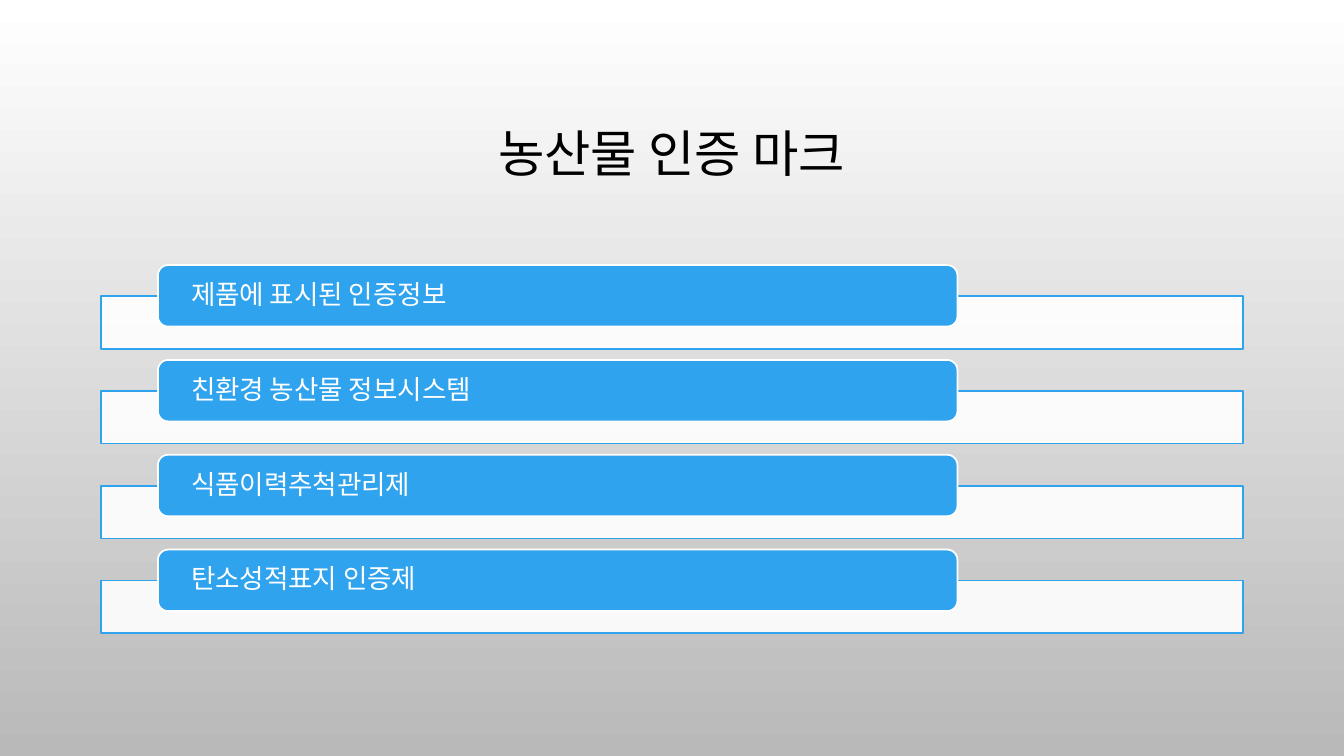
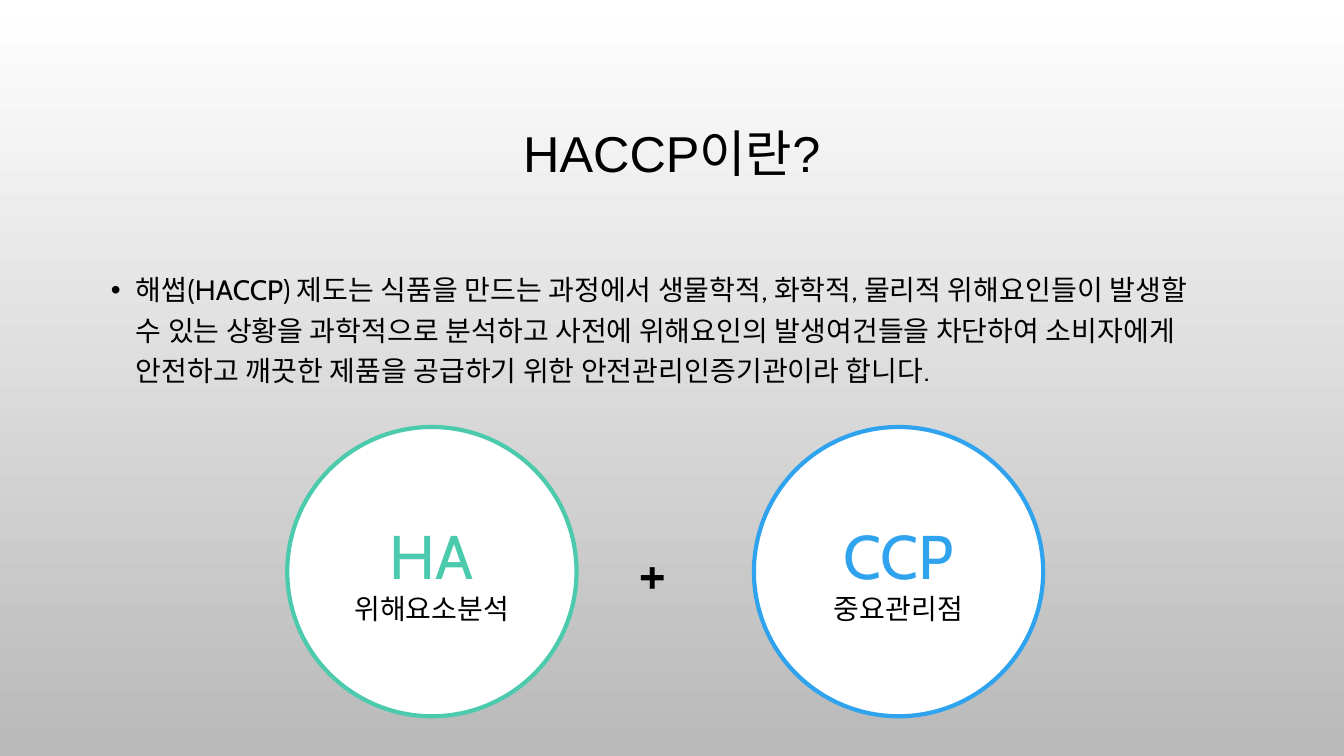
from lxml import etree
from pptx import Presentation
from pptx.dml.color import RGBColor
from pptx.enum.shapes import MSO_SHAPE
from pptx.enum.text import MSO_ANCHOR, MSO_AUTO_SIZE, PP_ALIGN
from pptx.oxml.ns import qn
from pptx.util import Cm, Pt

RECT, ROUND, OVAL = MSO_SHAPE.RECTANGLE, MSO_SHAPE.ROUNDED_RECTANGLE, MSO_SHAPE.OVAL
LEFT, CENTER = PP_ALIGN.LEFT, PP_ALIGN.CENTER
TOP, MIDDLE = MSO_ANCHOR.TOP, MSO_ANCHOR.MIDDLE
NO_FIT = MSO_AUTO_SIZE.NONE

COLORS = {"white": "FFFFFF", "gray": "B9B9B9", "blue": "2FA3EE",
          "green": "4BCAAD", "black": "000000"}
FONT = "Cabin"
MARGIN, CONTENT_WIDTH = 2.54, 28.78

MARKS_TITLE = "농산물 인증 마크"
MARKS = ["제품에 표시된 인증정보", "친환경 농산물 정보시스템",
         "식품이력추척관리제", "탄소성적표지 인증제"]
HACCP_TITLE = "HACCP이란?"
HACCP_TEXT = ("해썹(HACCP) 제도는 식품을 만드는 과정에서 생물학적, 화학적, 물리적 "
              "위해요인들이 발생할 수 있는 상황을 과학적으로 분석하고 사전에 "
              "위해요인의 발생여건들을 차단하여 소비자에게 안전하고 깨끗한 제품을 "
              "공급하기 위한 안전관리인증기관이라 합니다.")
CIRCLES = [("HA", "위해요소분석", "green"), ("CCP", "중요관리점", "blue")]


def rgb(name):
    return RGBColor.from_string(COLORS[name])


def place(shape, left, top, width, height):
    shape.left, shape.top = Cm(left), Cm(top)
    shape.width, shape.height = Cm(width), Cm(height)


def style(para, size, color="black", align=LEFT, spacing=1.0, font=FONT):
    para.alignment = align
    para.line_spacing = spacing
    para.space_before = para.space_after = Pt(0)
    para.font.name = font
    para.font.size = Pt(size)
    para.font.color.rgb = rgb(color)
    props = para._p.pPr.find(qn("a:defRPr"))
    etree.SubElement(props, qn("a:ea")).set("typeface", font)


def set_background(master):
    fill = master.background.fill
    fill.gradient()
    fill.gradient_angle = 270
    for stop, position, color in zip(fill.gradient_stops, (0, 1), ("white", "gray")):
        stop.position = position
        stop.color.rgb = rgb(color)


def add_page(deck, layout, title, font=FONT):
    page = deck.slides.add_slide(deck.slide_layouts[layout])
    box = page.shapes.title
    place(box, MARGIN, 1.7, CONTENT_WIDTH, 4.45)
    frame = box.text_frame
    frame.text = title
    frame.auto_size = NO_FIT
    frame.vertical_anchor = MIDDLE
    style(frame.paragraphs[0], 36, align=CENTER, spacing=0.9, font=font)
    return page


def add_shape(page, kind, bounds, fill, line, weight):
    shape = page.shapes.add_shape(kind, *map(Cm, bounds))
    shape.shadow.inherit = False
    shape.fill.solid()
    shape.fill.fore_color.rgb = rgb(fill)
    shape.line.color.rgb = rgb(line)
    shape.line.width = Pt(weight)
    shape.text_frame.vertical_anchor = MIDDLE
    return shape


def set_opacity(shape, percent):
    color = shape.fill._xPr.find(qn("a:solidFill"))[0]
    etree.SubElement(color, qn("a:alpha")).set("val", str(percent * 1000))


def set_bullet(para, indent):
    props = para._p.get_or_add_pPr()
    props.set("marL", str(Cm(indent)))
    props.set("indent", str(-Cm(indent)))
    color = etree.SubElement(props, qn("a:buClr"))
    etree.SubElement(color, qn("a:srgbClr")).set("val", COLORS["black"])
    etree.SubElement(props, qn("a:buFont")).set("typeface", "Arial")
    etree.SubElement(props, qn("a:buChar")).set("char", "•")


def build_marks(deck):
    page = add_page(deck, 5, MARKS_TITLE)
    first, pitch = 6.68, 2.39
    for index, text in enumerate(MARKS):
        top = first + index * pitch
        strip = add_shape(page, RECT, (MARGIN, top + 0.78, CONTENT_WIDTH, 1.33),
                          "white", "blue", 1.25)
        set_opacity(strip, 90)
        label = add_shape(page, ROUND, (3.98, top, 20.15, 1.55), "blue", "white", 1.25)
        frame = label.text_frame
        frame.margin_left = frame.margin_right = Cm(0.76)
        frame.margin_top = frame.margin_bottom = 0
        frame.text = text
        style(frame.paragraphs[0], 19, "white", spacing=0.9)


def build_haccp(deck):
    page = add_page(deck, 1, HACCP_TITLE, "Arial")
    body = page.placeholders[1]
    place(body, MARGIN, 6.58, CONTENT_WIDTH, 9.5)
    frame = body.text_frame
    frame.text = HACCP_TEXT
    frame.auto_size = NO_FIT
    frame.vertical_anchor = TOP
    frame.margin_right = Cm(0.6)
    set_bullet(frame.paragraphs[0], 0.63)
    style(frame.paragraphs[0], 20, spacing=1.2)

    left, pitch, size = 7.24, 11.76, 7.29
    for index, (letters, meaning, color) in enumerate(CIRCLES):
        circle = add_shape(page, OVAL, (left + index * pitch, 10.76, size, size),
                           "white", color, 3)
        frame = circle.text_frame
        frame.text = f"{letters}\n{meaning}"
        style(frame.paragraphs[0], 44, color, CENTER)
        style(frame.paragraphs[1], 20, align=CENTER)

    plus = page.shapes.add_textbox(Cm(15.84), Cm(13.34), Cm(1.85), Cm(2.13))
    plus.text_frame.word_wrap = True
    plus.text_frame.text = "+"
    style(plus.text_frame.paragraphs[0], 44)


def main():
    deck = Presentation()
    deck.slide_width, deck.slide_height = Cm(33.87), Cm(19.05)
    set_background(deck.slide_master)
    build_marks(deck)
    build_haccp(deck)
    deck.save("out.pptx")


if __name__ == "__main__":
    main()
